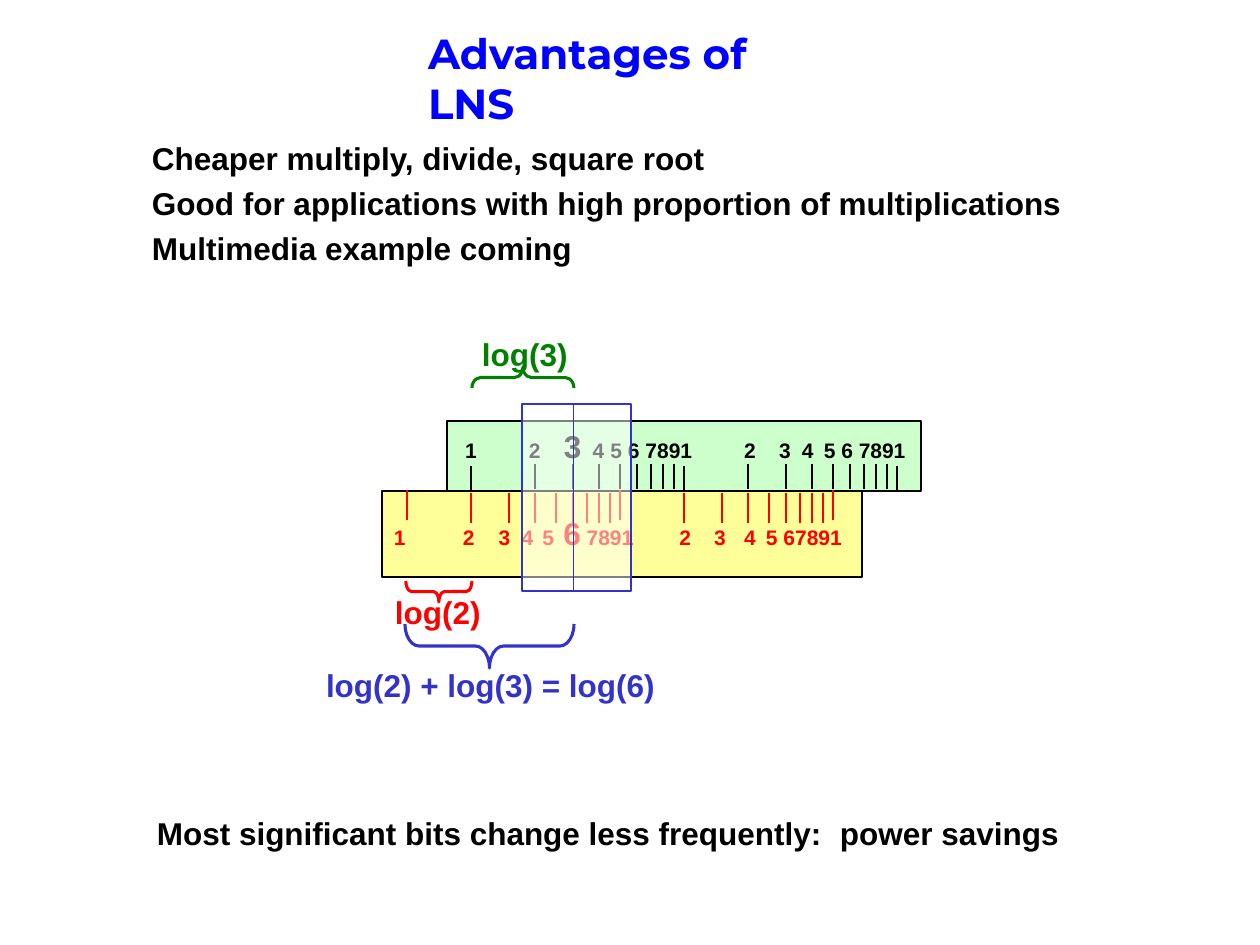
import dataclasses
import math

import lxml.etree
import pptx
import pptx.dml.color
import pptx.enum.shapes
import pptx.enum.text
import pptx.oxml.ns
import pptx.util

PX_PER_INCH = 126
PX_PER_POINT = PX_PER_INCH / 72
EMU_PER_PX = 914400 / PX_PER_INCH
SHAPES = pptx.enum.shapes.MSO_SHAPE
DECADE = 213
DIGIT_EM = 0.56
SPACE_EM = 0.28


@dataclasses.dataclass(frozen=True)
class Theme:
    heading_font: str = "Montserrat"
    body_font: str = "Arial"
    heading: str = "0000FF"
    ink: str = "000000"
    red: str = "FF0000"
    green: str = "008000"
    blue: str = "3333CC"
    upper_fill: str = "CCFFCC"
    lower_fill: str = "FFFF99"
    lens_fill: str = "FFFFFF"
    heading_size: int = 24
    body_size: int = 18
    digit_size: int = 12
    hairline: float = 0.5
    thin: float = 0.75
    thick: float = 1.5
    brace: float = 1.75


THEME = Theme()


def px(length):
    return pptx.util.Emu(round(length * EMU_PER_PX))


def place(box):
    return [px(length) for length in box]


def rgb(color):
    return pptx.dml.color.RGBColor.from_string(color)


def write(frame, text, *, color, size=THEME.body_size, font=THEME.body_font,
          indent=0, spacing=1.0, gaps=(), emphasis=None, left=12, top=6):
    frame.word_wrap = True
    frame.auto_size = pptx.enum.text.MSO_AUTO_SIZE.NONE
    frame.vertical_anchor = pptx.enum.text.MSO_ANCHOR.TOP
    frame.margin_left, frame.margin_right = px(left), px(12)
    frame.margin_top, frame.margin_bottom = px(top), px(6)

    def add_run(paragraph, words, points):
        run = paragraph.add_run()
        run.text = words
        run.font.name = font
        run.font.bold = True
        run.font.size = pptx.util.Pt(points)
        run.font.color.rgb = rgb(color)
        return run

    for number, line in enumerate(text.split("\n")):
        paragraph = frame.add_paragraph() if number else frame.paragraphs[0]
        paragraph.alignment = pptx.enum.text.PP_ALIGN.LEFT
        paragraph.line_spacing = spacing
        properties = paragraph._p.get_or_add_pPr()
        properties.set("marL", str(px(indent)))
        properties.set("indent", "0")
        for index, chunk in enumerate(line.split("\t")):
            if index:
                space = add_run(paragraph, " ", size)
                extra = gaps[index - 1] / PX_PER_POINT - SPACE_EM * size
                space.font._element.set("spc", str(round(extra * 100)))
            add_run(paragraph, chunk, THEME.body_size if index == emphasis else size)


def add_text(shapes, box, text, **style):
    write(shapes.add_textbox(*place(box)).text_frame, text, **style)


def add_outline(shapes, kind, box, color, weight, fill=None):
    outline = shapes.add_shape(kind, *place(box))
    outline.shadow.inherit = False
    outline.line.color.rgb = rgb(color)
    outline.line.width = pptx.util.Pt(weight)
    if fill:
        outline.fill.solid()
        outline.fill.fore_color.rgb = rgb(fill)
    else:
        outline.fill.background()
    return outline


def add_vertical(shapes, x, top, bottom, color, weight):
    mark = shapes.add_connector(pptx.enum.shapes.MSO_CONNECTOR.STRAIGHT,
                                px(x), px(top), px(x), px(bottom))
    mark.line.color.rgb = rgb(color)
    mark.line.width = pptx.util.Pt(weight)
    lxml.etree.SubElement(mark._element.spPr, pptx.oxml.ns.qn("a:effectLst"))


def add_heading(slide, box):
    heading = slide.shapes.title
    heading.left, heading.top, heading.width, heading.height = place(box)
    write(heading.text_frame, "Advantages of LNS", color=THEME.heading,
          size=THEME.heading_size, font=THEME.heading_font)


def digit_gaps(digits, starts, emphasis):
    sizes = [THEME.body_size if index == emphasis else THEME.digit_size
             for index in range(len(digits))]
    ends = [start + len(chunk) * DIGIT_EM * size * PX_PER_POINT
            for start, chunk, size in zip(starts, digits, sizes)]
    return [start - end for start, end in zip(starts[1:], ends)]


def add_log_rule(slide, box, fill, color, origin, thin_ticks, thick_ticks,
                 digits, starts, emphasis, top):
    left, box_top = box[:2]
    shapes = slide.shapes.add_group_shape().shapes
    rule = add_outline(shapes, SHAPES.RECTANGLE, box, THEME.ink, THEME.thin, fill)
    write(rule.text_frame, "\t".join(digits), color=color, size=THEME.digit_size,
          gaps=digit_gaps(digits, starts, emphasis), emphasis=emphasis,
          left=starts[0], top=top)
    for decade in range(2):
        for number in range(2, 10):
            x = left + origin + round(DECADE * (decade + math.log10(number)))
            add_vertical(shapes, x, box_top + thin_ticks[0], box_top + thin_ticks[1],
                         color, THEME.thin)
    for decade in range(3):
        add_vertical(shapes, left + origin + DECADE * decade,
                     box_top + thick_ticks[0], box_top + thick_ticks[1],
                     color, THEME.thick)


def add_lens(slide, box):
    left, top, width, height = box
    shapes = slide.shapes.add_group_shape().shapes
    lens = add_outline(shapes, SHAPES.RECTANGLE, box, THEME.blue, THEME.thick,
                       THEME.lens_fill)
    tint = lens._element.spPr.find(
        pptx.oxml.ns.qn("a:solidFill") + "/" + pptx.oxml.ns.qn("a:srgbClr"))
    lxml.etree.SubElement(tint, pptx.oxml.ns.qn("a:alpha"), val="50000")
    add_vertical(shapes, left + 51, top, top + height, THEME.blue, THEME.hairline)


def add_brace(slide, box, kind, color):
    left, top, span, depth = box
    upright = (left + (span - depth) / 2, top + (depth - span) / 2, depth, span)
    brace = add_outline(slide.shapes, kind, upright, color, THEME.brace)
    brace.rotation = 270
    brace.adjustments[0] = span / depth / 12


def add_slide_rule(slide, box):
    left, top = box[:2]
    add_log_rule(slide, (left + 120, top + 92, 474, 70), THEME.upper_fill, THEME.ink,
                 origin=24, thin_ticks=(43, 68), thick_ticks=(45, 70),
                 digits=["1", "2", "3", "4", "5", "6", "7891",
                         "2", "3", "4", "5", "6", "7891"],
                 starts=(18, 82, 117, 146, 164, 181, 195, 294, 329, 352, 374, 390, 404),
                 emphasis=2, top=6)
    add_log_rule(slide, (left + 55, top + 162, 480, 86), THEME.lower_fill, THEME.red,
                 origin=25, thin_ticks=(2, 32), thick_ticks=(-1, 29),
                 digits=["1", "2", "3", "4", "5", "6", "7891",
                         "2", "3", "4", "5", "67891"],
                 starts=(12, 81, 117, 140, 161, 182, 203, 296, 331, 361, 383, 397),
                 emphasis=5, top=23)
    add_lens(slide, (left + 195, top + 75, 109, 187))
    add_brace(slide, (left + 79, top + 252, 66, 21), SHAPES.LEFT_BRACE, THEME.red)
    add_brace(slide, (left + 78, top + 295, 169, 44), SHAPES.LEFT_BRACE, THEME.blue)
    add_brace(slide, (left + 145, top + 38, 102, 21), SHAPES.RIGHT_BRACE, THEME.green)
    for x, y, width, text, color in (
        (56, 258, 129, "log(2)", THEME.red),
        (-13, 331, 370, "log(2) + log(3) = log(6)", THEME.blue),
        (143, 0, 129, "log(3)", THEME.green),
    ):
        add_text(slide.shapes, (left + x, top + y, width, 50), text, color=color)


def main():
    deck = pptx.Presentation()
    deck.slide_width, deck.slide_height = px(1260), px(945)
    slide = deck.slides.add_slide(deck.slide_layouts[5])
    add_heading(slide, (416, 21, 418, 63))
    add_text(slide.shapes, (108, 125, 975, 149),
             "Cheaper multiply, divide, square root\n"
             "Good for applications with high proportion of multiplications\n"
             "Multimedia example coming",
             color=THEME.ink, indent=32, spacing=1.2)
    add_slide_rule(slide, (327, 329, 594, 381))
    add_text(slide.shapes, (19, 800, 1210, 58),
             "Most significant bits change less frequently:\tpower savings",
             color=THEME.ink, indent=126, spacing=1.2, gaps=(18,))
    deck.save("out.pptx")


if __name__ == "__main__":
    main()
